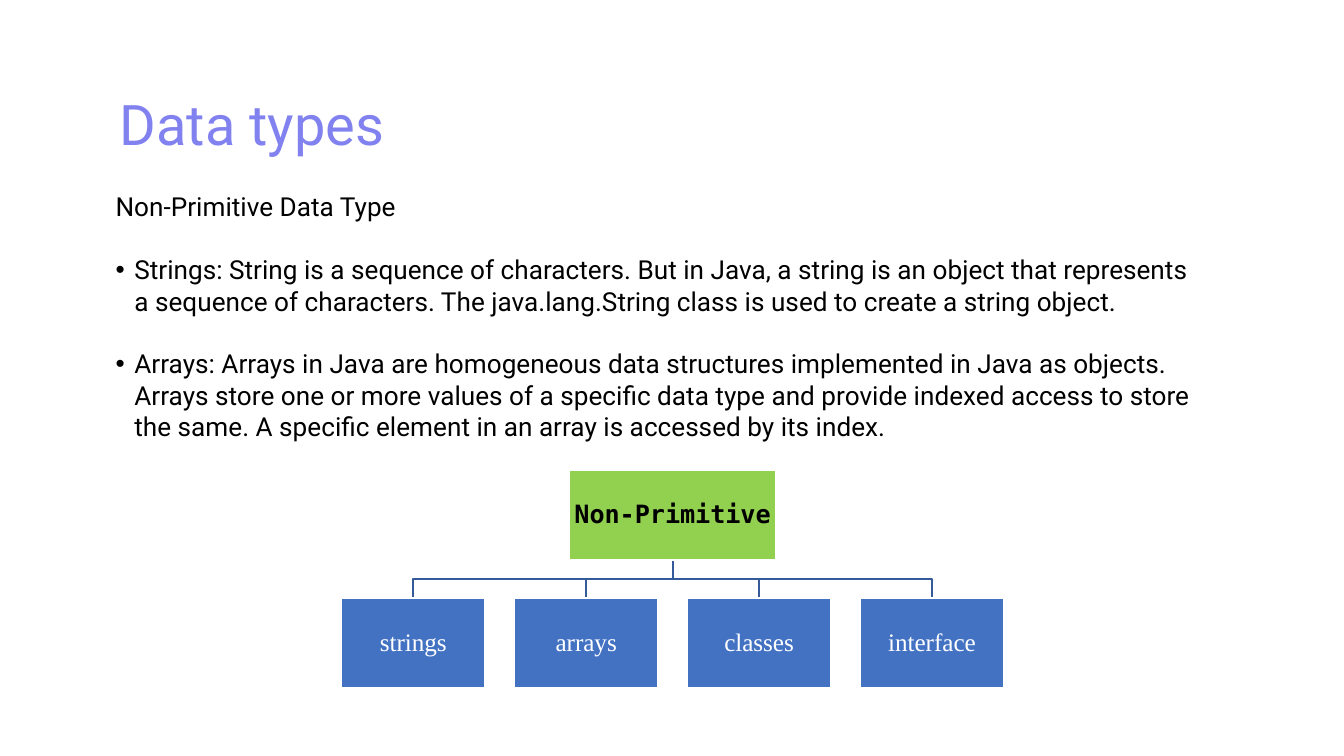
from pptx import Presentation
from pptx.dml.color import RGBColor
from pptx.enum.shapes import MSO_SHAPE
from pptx.enum.text import MSO_ANCHOR, MSO_AUTO_SIZE, PP_ALIGN
from pptx.oxml import parse_xml
from pptx.oxml.ns import nsdecls
from pptx.util import Inches, Pt

RECT = MSO_SHAPE.RECTANGLE
TOP, MID = MSO_ANCHOR.TOP, MSO_ANCHOR.MIDDLE
LEFT, MIDDLE = PP_ALIGN.LEFT, PP_ALIGN.CENTER
FIXED = MSO_AUTO_SIZE.NONE
WIDE = Inches(10)
HIGH = WIDE * 9 // 16

HUES = {
    "title": "8182EF", "text": "000000", "light": "FFFFFF",
    "root": "92D050", "leaf": "4372C3", "line": "345A99",
}
FONTS = {
    "title": {"name": "Roboto", "size": Pt(30), "bold": False},
    "body": {"name": "Roboto", "size": Pt(14)},
    "root": {"name": "DejaVu Sans Mono", "size": Pt(13.5), "bold": True},
    "leaf": {"name": "Times New Roman", "size": Pt(13.5)},
}
HEAD = "Non-Primitive Data Type"
ITEMS = [
    "Strings: String is a sequence of characters. But in Java, a string is an "
    "object that represents a sequence of characters. The java.lang.String "
    "class is used to create a string object.",
    "Arrays: Arrays in Java are homogeneous data structures implemented in "
    "Java as objects. Arrays store one or more values of a specific data type "
    "and provide indexed access to store the same. A specific element in an "
    "array is accessed by its index.",
]
LEAVES = ["strings", "arrays", "classes", "interface"]


def hue(key):
    return RGBColor.from_string(HUES[key])


def apply(obj, values):
    for key, value in values.items():
        setattr(obj, key, value)


def style(para, font, color):
    apply(para.font, FONTS[font])
    para.font.color.rgb = hue(color)


def frame(shape, pad_x, pad_y, anchor):
    text = shape.text_frame
    apply(text, {
        "word_wrap": True, "auto_size": FIXED, "vertical_anchor": anchor,
        "margin_left": Inches(pad_x), "margin_right": Inches(pad_x),
        "margin_top": Inches(pad_y), "margin_bottom": Inches(pad_y),
    })
    return text


def title(slide, box):
    shape = slide.shapes.title
    apply(shape, dict(zip(("left", "top", "width", "height"), map(Inches, box))))
    text = frame(shape, 0.1, 0.1, TOP)
    text.text = "Data types"
    para = text.paragraphs[0]
    apply(para, {"alignment": LEFT, "line_spacing": 1.15, "space_before": Pt(0)})
    style(para, "title", "title")


def bullet(para):
    props = para._p.get_or_add_pPr()
    props.set("marL", str(Inches(0.14)))
    props.set("indent", str(-Inches(0.14)))
    for tag in ('buFont typeface="Arial"', 'buChar char="•"'):
        name, attr = tag.split(" ", 1)
        props.append(parse_xml(f'<a:{name} {nsdecls("a")} {attr}/>'))


def body(slide, box):
    text = frame(slide.shapes.add_textbox(*map(Inches, box)), 0.07, 0.04, TOP)
    para = text.paragraphs[0]
    para.text = HEAD
    style(para, "body", "text")
    for item in ITEMS:
        para = text.add_paragraph()
        para.text = item
        bullet(para)
        para.space_before = Pt(16.8)
        style(para, "body", "text")


def node(slide, box, label, kind, color):
    shape = slide.shapes.add_shape(RECT, *map(Inches, box))
    shape.shadow.inherit = False
    shape.fill.solid()
    shape.fill.fore_color.rgb = hue(kind)
    shape.line.color.rgb = hue("light")
    shape.line.width = Pt(1)
    para = frame(shape, 0.01, 0.01, MID).paragraphs[0]
    para.text = label
    apply(para, {"alignment": MIDDLE, "line_spacing": 0.9})
    style(para, kind, color)


def branch(slide, start, end):
    half = (start[1] + end[1]) / 2
    points = [start, (start[0], half), (end[0], half), end]
    first, *rest = [tuple(map(Inches, point)) for point in points]
    pen = slide.shapes.build_freeform(*first)
    pen.add_line_segments(rest, close=False)
    shape = pen.convert_to_shape()
    shape.shadow.inherit = False
    shape.fill.background()
    shape.line.color.rgb = hue("line")
    shape.line.width = Pt(1)


def tree(slide, box):
    left, top, width, height = box
    tall, wide, root = 0.67, 1.07, 1.54
    step = (width - wide) / (len(LEAVES) - 1)
    mid, low = left + width / 2, top + height - tall
    spots = [left + step * i for i in range(len(LEAVES))]
    for x in reversed(spots):
        branch(slide, (mid, top + tall), (x + wide / 2, low))
    node(slide, (mid - root / 2, top, root, tall), "Non-Primitive", "root", "text")
    for x, label in zip(spots, LEAVES):
        node(slide, (x, low, wide, tall), label, "leaf", "light")


def main():
    deck = Presentation()
    apply(deck, {"slide_width": WIDE, "slide_height": HIGH})
    slide = deck.slides.add_slide(deck.slide_layouts[5])
    title(slide, (0.79, 0.49, 6.28, 0.71))
    body(slide, (0.79, 1.38, 8.27, 2.2))
    tree(slide, (2.54, 3.5, 4.93, 1.62))
    deck.save("out.pptx")


if __name__ == "__main__":
    main()
